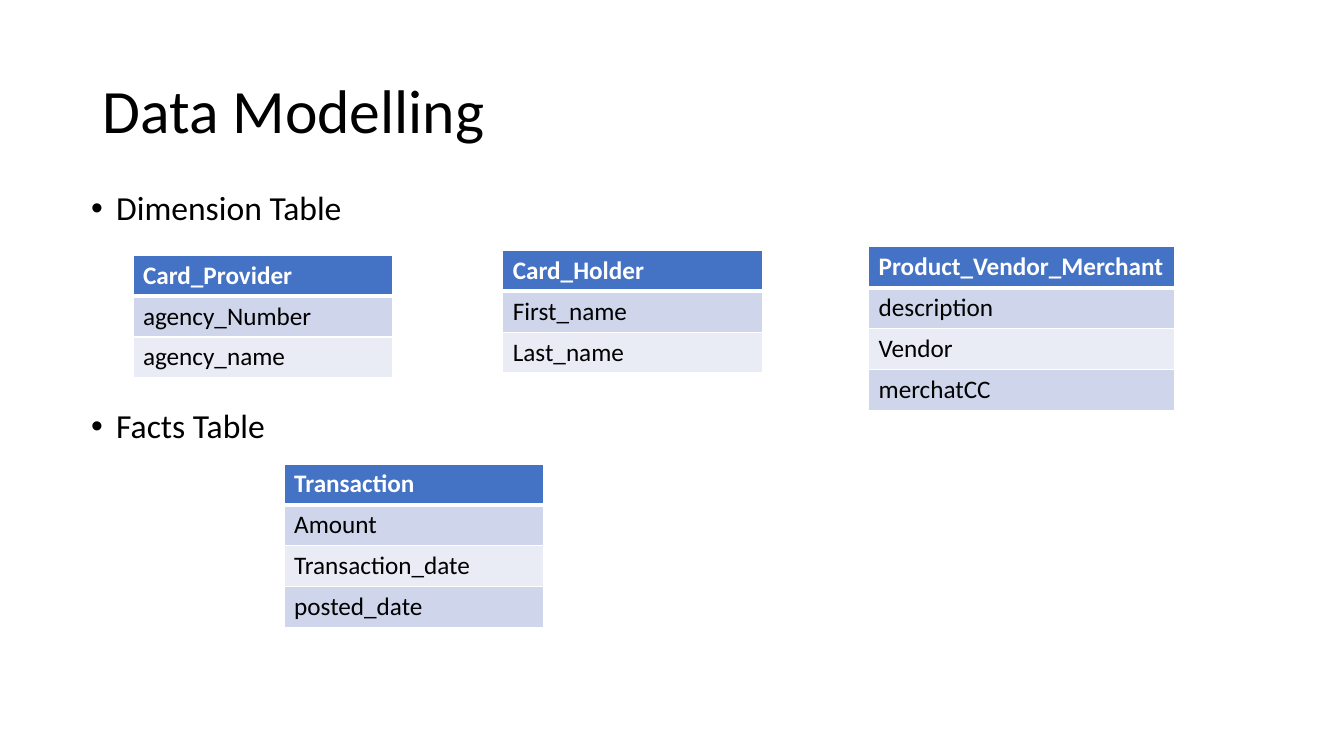
from lxml import etree
from pptx import Presentation
from pptx.dml.color import RGBColor
from pptx.enum.text import MSO_ANCHOR
from pptx.oxml.ns import qn
from pptx.util import Cm, Pt

MIDDLE, TOP = MSO_ANCHOR.MIDDLE, MSO_ANCHOR.TOP
FONT = "Calibri"
BLACK, WHITE = "000000", "FFFFFF"
HEADER_FILL = "4472C4"
BAND_FILLS = ("CFD5EA", "E9EBF5")
ROW_HEIGHT = 1.03
INDENT = 0.63

TITLE_BOX = (2.33, 1.01, 29.21, 3.68)
BODY_BOX = (2.05, 4.7, 29.21, 12.09)
SECTIONS = (("Dimension Table", 10), ("Facts Table", 130))
TABLES = (
    ((3.35, 6.43, 6.55), ("Card_Provider", "agency_Number", "agency_name")),
    ((12.67, 6.31, 6.55), ("Card_Holder", "First_name", "Last_name")),
    ((21.89, 6.22, 7.7),
     ("Product_Vendor_Merchant", "description", "Vendor", "merchatCC")),
    ((7.16, 11.69, 6.55),
     ("Transaction", "Amount", "Transaction_date", "posted_date")),
)


def color(value):
    return RGBColor.from_string(value)


def apply_format(target, values):
    for name, value in values.items():
        setattr(target, name, value)


def write(para, text, size, ink=BLACK, bold=False):
    span = para.add_run()
    span.text = text
    apply_format(span.font, {"name": FONT, "size": Pt(size), "bold": bold})
    span.font.color.rgb = color(ink)


def add_text_frame(page, box, anchor):
    frame = page.shapes.add_textbox(*map(Cm, box)).text_frame
    apply_format(frame, {"word_wrap": True, "vertical_anchor": anchor})
    return frame


def add_bullet(para):
    props = para._p.get_or_add_pPr()
    props.set("marL", str(Cm(INDENT)))
    props.set("indent", str(-Cm(INDENT)))
    etree.SubElement(props, qn("a:buFont"), typeface="Arial")
    etree.SubElement(props, qn("a:buChar"), char="•")


def add_title(page, box):
    para = add_text_frame(page, box, MIDDLE).paragraphs[0]
    para.line_spacing = 0.9
    write(para, "Data Modelling", 44)


def add_sections(page, box):
    frame = add_text_frame(page, box, TOP)
    for index, (text, gap) in enumerate(SECTIONS):
        para = frame.add_paragraph() if index else frame.paragraphs[0]
        apply_format(para, {"line_spacing": 0.9, "space_before": Pt(gap)})
        add_bullet(para)
        write(para, text, 24)


def add_borders(cell, widths):
    props = cell._tc.get_or_add_tcPr()
    for index, (side, width) in enumerate(widths.items()):
        line = etree.Element(qn(f"a:ln{side}"), w=str(Pt(width)))
        fill = etree.SubElement(line, qn("a:solidFill"))
        etree.SubElement(fill, qn("a:srgbClr"), val=WHITE)
        props.insert(index, line)


def add_entity(page, box, names):
    left, top, width = box
    frame = page.shapes.add_table(
        len(names), 1, Cm(left), Cm(top), Cm(width), Cm(ROW_HEIGHT * len(names)))
    for index, name in enumerate(names):
        header = index == 0
        frame.table.rows[index].height = Cm(ROW_HEIGHT)
        cell = frame.table.cell(index, 0)
        cell.fill.solid()
        cell.fill.fore_color.rgb = color(
            HEADER_FILL if header else BAND_FILLS[(index - 1) % 2])
        add_borders(cell, {"L": 1, "R": 1, "T": 3 if index == 1 else 1,
                           "B": 3 if header else 1})
        write(cell.text_frame.paragraphs[0], name, 18,
              WHITE if header else BLACK, header)


def main():
    deck = Presentation()
    apply_format(deck, {"slide_width": Cm(33.87), "slide_height": Cm(19.05)})
    page = deck.slides.add_slide(deck.slide_layouts[6])
    add_title(page, TITLE_BOX)
    add_sections(page, BODY_BOX)
    for box, names in TABLES:
        add_entity(page, box, names)
    deck.save("out.pptx")


if __name__ == "__main__":
    main()
